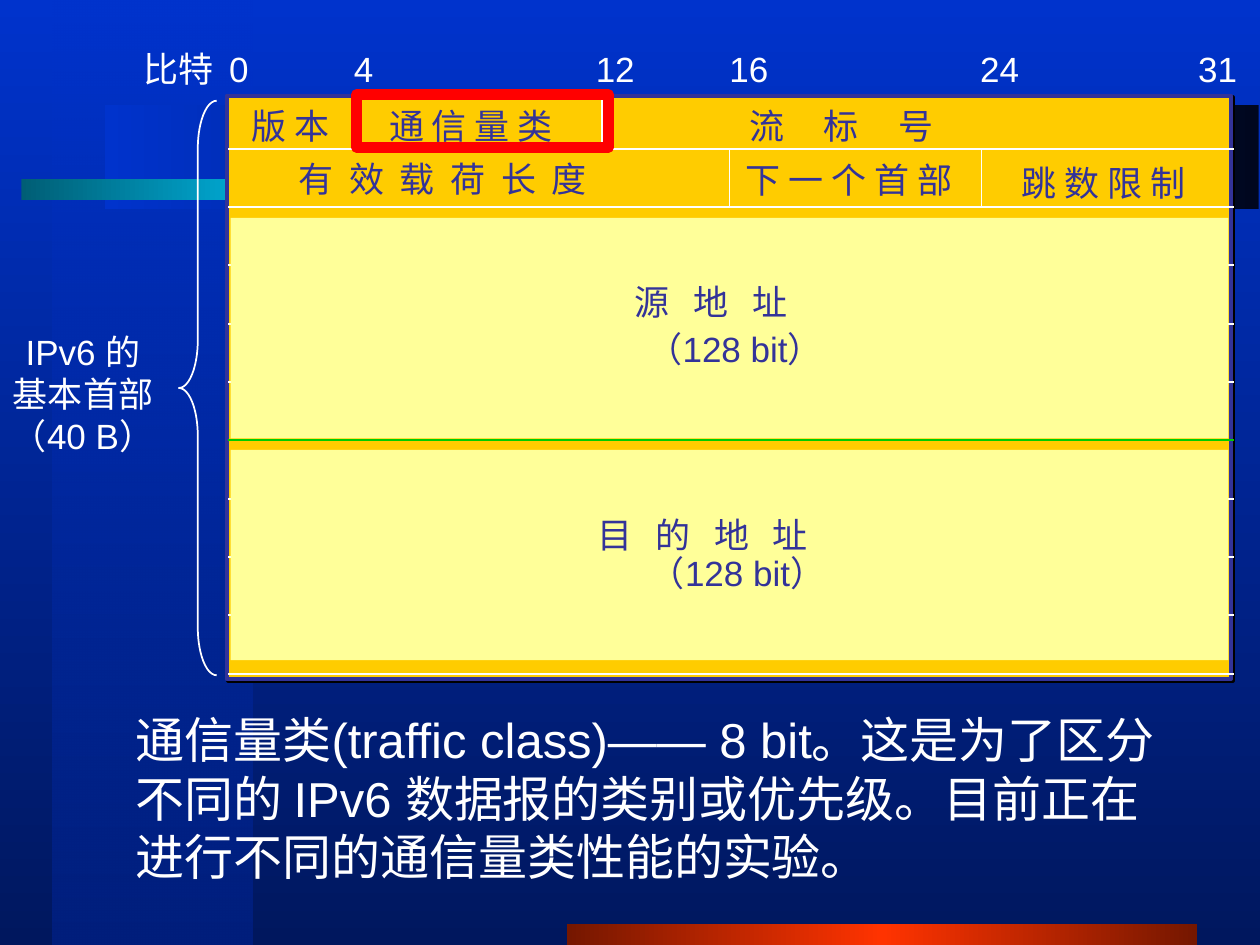
from dataclasses import dataclass

from lxml import etree
from pptx import Presentation
from pptx.dml.color import RGBColor
from pptx.enum import shapes, text
from pptx.oxml import ns
from pptx.util import Inches, Pt


@dataclass(frozen=True)
class Theme:
    font: str = "Arial"
    body: int = 28
    label: int = 20
    white: str = "FFFFFF"
    ink: str = "333399"
    header: str = "FFCC00"
    address: str = "FFFF99"
    green: str = "00CC00"
    red: str = "FF0000"
    blue: str = "0033CC"
    navy: str = "00175E"
    shadow: str = "000000"
    rule: float = 1
    frame: float = 2.25
    highlight: float = 6


THEME = Theme()


@dataclass(frozen=True)
class Rect:
    left: float
    top: float
    width: float
    height: float

    def lengths(self) -> tuple:
        return tuple(Inches(v) for v in (self.left, self.top, self.width, self.height))


@dataclass(frozen=True)
class Stop:
    place: int
    color: str
    opacity: int = 100


@dataclass(frozen=True)
class Band:
    area: Rect
    angle: int
    stops: tuple


@dataclass(frozen=True)
class Label:
    words: str
    area: Rect
    color: str = THEME.ink
    spacing: float = 0  # extra points between letters
    centered: bool = False


@dataclass(frozen=True)
class Divider:
    x: float
    top: float
    bottom: float


def set_gradient(fill, angle: int, stops: tuple) -> None:
    """Fill with any number of stops; the angle runs clockwise."""
    fill.gradient()
    fill.gradient_angle = (360 - angle) % 360
    stop_list = fill.gradient_stops[0]._gs.getparent()
    for old in list(stop_list):
        stop_list.remove(old)
    for stop in stops:
        mark = etree.SubElement(stop_list, ns.qn("a:gs"), pos=str(stop.place * 1000))
        color = etree.SubElement(mark, ns.qn("a:srgbClr"), val=stop.color)
        if stop.opacity < 100:
            etree.SubElement(color, ns.qn("a:alpha"), val=str(stop.opacity * 1000))


def add_figure(page, area: Rect, fill: str = "", line: str = "", weight: float = 1,
               kind=shapes.MSO_SHAPE.RECTANGLE):
    figure = page.shapes.add_shape(kind, *area.lengths())
    figure.shadow.inherit = False
    if fill:
        figure.fill.solid()
        figure.fill.fore_color.rgb = RGBColor.from_string(fill)
    else:
        figure.fill.background()
    if line:
        figure.line.color.rgb = RGBColor.from_string(line)
        figure.line.width = Pt(weight)
    else:
        figure.line.fill.background()
    return figure


def add_rule(page, x1: float, y1: float, x2: float, y2: float,
             color: str = THEME.white) -> None:
    rule = page.shapes.add_connector(
        shapes.MSO_CONNECTOR.STRAIGHT, *(Inches(v) for v in (x1, y1, x2, y2)))
    rule.line.color.rgb = RGBColor.from_string(color)
    rule.line.width = Pt(THEME.rule)
    etree.SubElement(rule._element.spPr, ns.qn("a:effectLst"))


def add_label(page, label: Label, size: int = THEME.label, wrap: bool = False) -> None:
    box = page.shapes.add_textbox(*label.area.lengths())
    frame = box.text_frame
    frame.text = label.words
    frame.word_wrap = wrap
    frame.auto_size = text.MSO_AUTO_SIZE.SHAPE_TO_FIT_TEXT
    for para in frame.paragraphs:
        if label.centered:
            para.alignment = text.PP_ALIGN.CENTER
        for span in para.runs:
            span.font.name = THEME.font
            span.font.size = Pt(size)
            span.font.color.rgb = RGBColor.from_string(label.color)
            if label.spacing:
                span.font._element.set("spc", str(round(label.spacing * 100)))


def add_shadow(figure, color: str) -> None:
    effects = figure._element.spPr.find(ns.qn("a:effectLst"))
    shadow = etree.SubElement(effects, ns.qn("a:outerShdw"), dist=str(Pt(1.4)),
                              dir=str(45 * 60000), algn="ctr", rotWithShape="0")
    etree.SubElement(shadow, ns.qn("a:srgbClr"), val=color)


LEFT, RIGHT = 1.81, 9.79
FIRST_ROW, ROW_STEP, ROW_COUNT = 1.18, 0.463, 10
GREEN_ROW = 5
TEXT_HEIGHT = 0.43

BANDS = (
    Band(Rect(0.42, 0, 1.58, 7.5), 90, (Stop(0, THEME.blue, 50), Stop(100, "001F7D"))),
    Band(Rect(4.5, 7.33, 5, 0.17), 180,
         (Stop(0, "751700"), Stop(50, "FF3300"), Stop(100, "751700"))),
    Band(Rect(0.83, 0.83, 9.16, 0.83), 180, (Stop(0, "00071F"), Stop(100, THEME.blue))),
    Band(Rect(0.17, 1.42, 5.17, 0.17), 180,
         (Stop(0, "005E75"), Stop(50, "00CCFF"), Stop(100, "005E75"))),
)
DIVIDERS = (Divider(2.8, 0.76, 1.18), Divider(4.78, 0.76, 1.18),
            Divider(5.79, 1.18, 1.64), Divider(7.79, 1.18, 1.64))
ADDRESS_PANELS = (Rect(1.83, 1.73, 7.92, 1.75), Rect(1.83, 3.57, 7.92, 1.67))
BIT_MARKS = (("比特", 1.04, 0.76), ("0", 1.72, 0.35), ("4", 2.71, 0.35),
             ("12", 4.63, 0.51), ("16", 5.69, 0.51), ("24", 7.68, 0.51),
             ("31", 9.41, 0.51))
FIELDS = (
    Label("版 本", Rect(1.9, 0.78, 0.89, TEXT_HEIGHT)),
    Label("通 信 量 类", Rect(2.99, 0.78, 1.73, TEXT_HEIGHT)),
    Label("流 标 号", Rect(5.85, 0.78, 2.43, TEXT_HEIGHT), spacing=9),
    Label("有 效 载 荷 长 度", Rect(2.27, 1.2, 3.26, TEXT_HEIGHT), spacing=2.25),
    Label("下 一 个 首 部", Rect(5.82, 1.21, 2.15, TEXT_HEIGHT)),
    Label("跳 数 限 制", Rect(8.01, 1.23, 1.73, TEXT_HEIGHT)),
    Label("源 地 址", Rect(4.94, 2.18, 1.87, TEXT_HEIGHT), spacing=4.5),
    Label("（128 bit）", Rect(5.04, 2.55, 1.72, TEXT_HEIGHT)),
    Label("目 的 地 址", Rect(4.64, 4.03, 2.56, TEXT_HEIGHT), spacing=4.5),
    Label("（128 bit）", Rect(5.06, 4.33, 1.72, TEXT_HEIGHT)),
)
HEADER_NOTE = Label("IPv6 的\n基本首部\n（40 B）", Rect(-0.07, 2.57, 1.46, 1.1),
                    THEME.white, centered=True)
EXPLANATION = Label(
    "通信量类(traffic class)—— 8 bit。这是为了区分不同的 IPv6 数据报的类别或优先级。"
    "目前正在进行不同的通信量类性能的实验。", Rect(0.98, 5.58, 8.45, 1.5), THEME.white)


def main() -> None:
    deck = Presentation()
    deck.slide_width, deck.slide_height = Inches(10), Inches(7.5)
    page = deck.slides.add_slide(deck.slide_layouts[6])

    # Background and decorative bands
    set_gradient(page.background.fill, 90, (Stop(0, THEME.blue), Stop(100, THEME.navy)))
    for band in BANDS:
        set_gradient(add_figure(page, band.area).fill, band.angle, band.stops)

    # Explanation
    add_label(page, EXPLANATION, THEME.body, wrap=True)

    # Header frame, row rules, dividers and address panels
    frame = add_figure(page, Rect(1.8, 0.76, 7.97, 4.63), THEME.header, THEME.ink,
                       THEME.frame)
    add_shadow(frame, THEME.shadow)
    for row in range(ROW_COUNT):
        y = FIRST_ROW + row * ROW_STEP
        add_rule(page, LEFT, y, RIGHT, y,
                 THEME.green if row == GREEN_ROW else THEME.white)
    for divider in DIVIDERS:
        add_rule(page, divider.x, divider.top, divider.x, divider.bottom)
    for panel in ADDRESS_PANELS:
        add_figure(page, panel, THEME.address)

    # Bit scale and field names
    for words, left, width in BIT_MARKS:
        add_label(page, Label(words, Rect(left, 0.33, width, TEXT_HEIGHT), THEME.white))
    for field in FIELDS:
        add_label(page, field)

    # Brace with the header size
    brace = add_figure(page, Rect(1.42, 0.8, 0.3, 4.56), line=THEME.white,
                       weight=THEME.rule, kind=shapes.MSO_SHAPE.LEFT_BRACE)
    brace.adjustments[0] = 1.27
    add_label(page, HEADER_NOTE)

    # Highlight around the traffic class field
    add_figure(page, Rect(2.83, 0.75, 2, 0.42), line=THEME.red, weight=THEME.highlight)

    deck.save("out.pptx")


if __name__ == "__main__":
    main()
